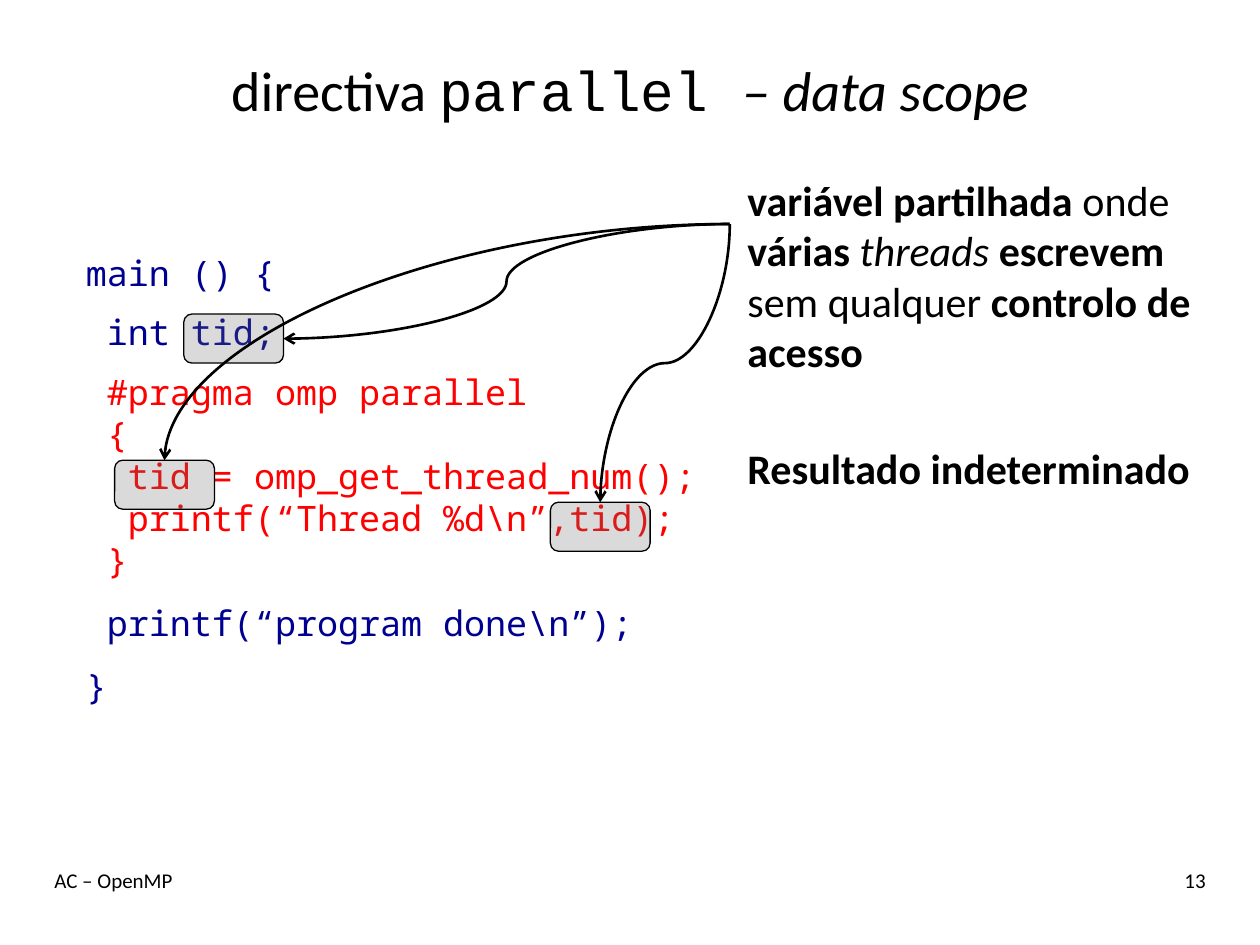
from lxml import etree
from pptx import Presentation
from pptx.dml.color import RGBColor
from pptx.enum.shapes import MSO_CONNECTOR, MSO_SHAPE
from pptx.enum.text import MSO_ANCHOR, PP_ALIGN
from pptx.oxml.ns import qn
from pptx.util import Pt

CURVE = MSO_CONNECTOR.CURVE
ROUNDED = MSO_SHAPE.ROUNDED_RECTANGLE
TOP, MIDDLE = MSO_ANCHOR.TOP, MSO_ANCHOR.MIDDLE
LEFT, CENTER, RIGHT = PP_ALIGN.LEFT, PP_ALIGN.CENTER, PP_ALIGN.RIGHT

BLACK = RGBColor(0x00, 0x00, 0x00)
GRAY = RGBColor(0x6E, 0x6E, 0x6E)
NAVY = RGBColor(0x00, 0x00, 0x90)
RED = RGBColor(0xFF, 0x00, 0x00)

PROSE_FONT, TITLE_CODE_FONT, CODE_FONT = "Calibri", "Courier New", "Noto Sans Mono"
MARK_WIDTH, MARK_HEIGHT = 57, 28

# Code lines: text, colour, space before, space after
CODE = [
    ("main () {", NAVY, 0, 10),
    (" int tid;", NAVY, 0, 10),
    (" #pragma omp parallel", RED, 0, 0),
    (" {", RED, 0, 0),
    ("  tid = omp_get_thread_num();", RED, 0, 0),
    ("  printf(“Thread %d\\n”,tid);", RED, 0, 0),
    (" }", RED, 0, 0),
    (" printf(“program done\\n”);", NAVY, 12, 0),
    ("}", NAVY, 12, 0),
]


class SlideBuilder:
    def __init__(self, slide):
        self.slide = slide

    def text_box(self, left, top, width, height, anchor=TOP, wrap=True):
        frame = self.slide.shapes.add_textbox(
            Pt(left), Pt(top), Pt(width), Pt(height)).text_frame
        frame.word_wrap = wrap
        frame.vertical_anchor = anchor
        return frame

    def add_text(self, paragraph, pieces, size, align=LEFT, before=0, after=0):
        """Fill a paragraph from (text, font changes) pairs."""
        paragraph.alignment = align
        paragraph.space_before, paragraph.space_after = Pt(before), Pt(after)
        for text, changes in pieces:
            run = paragraph.add_run()
            run.text = text
            font = run.font
            font.size = Pt(size)
            font.name = changes.get("name", PROSE_FONT)
            font.bold = changes.get("bold", False)
            font.italic = changes.get("italic", False)
            font.color.rgb = changes.get("color", BLACK)

    def mark(self, left, top):
        """Add a translucent box over one use of the variable."""
        box = self.slide.shapes.add_shape(
            ROUNDED, Pt(left), Pt(top), Pt(MARK_WIDTH), Pt(MARK_HEIGHT))
        box.shadow.inherit = False
        box.fill.solid()
        box.fill.fore_color.rgb = GRAY
        color = box._element.spPr.find(qn("a:solidFill"))[0]
        etree.SubElement(color, qn("a:alpha")).set("val", "25000")
        box.line.color.rgb = BLACK
        box.line.width = Pt(0.75)

    def arrow(self, start, end, preset="curvedConnector3", vertical=False):
        """Add a curved arrow; a vertical one leaves its start downwards."""
        (x1, y1), (x2, y2) = start, end
        if vertical:  # a quarter turn about the centre swaps the two spans
            mid_x, mid_y = (x1 + x2) / 2, (y1 + y2) / 2
            half_w, half_h = (y2 - y1) / 2, (x1 - x2) / 2
            x1, x2 = mid_x - half_w, mid_x + half_w
            y1, y2 = mid_y - half_h, mid_y + half_h
        curve = self.slide.shapes.add_connector(CURVE, Pt(x1), Pt(y1), Pt(x2), Pt(y2))
        curve.line.color.rgb = BLACK
        curve.line.width = Pt(1.5)
        properties = curve._element.spPr
        properties.find(qn("a:prstGeom")).set("prst", preset)
        if vertical:
            properties.find(qn("a:xfrm")).set("rot", "5400000")
        tail = etree.SubElement(properties.find(qn("a:ln")), qn("a:tailEnd"))
        tail.set("type", "arrow")
        etree.SubElement(properties, qn("a:effectLst"))


def main():
    presentation = Presentation()
    presentation.slide_width, presentation.slide_height = Pt(720), Pt(540)
    builder = SlideBuilder(presentation.slides.add_slide(presentation.slide_layouts[6]))
    bold, italic = {"bold": True}, {"italic": True}

    title = builder.text_box(24, 18, 672, 66, MIDDLE)
    builder.add_text(title.paragraphs[0], [
        ("directiva ", {}),
        ("parallel ", {"name": TITLE_CODE_FONT}),
        ("– data scope", italic),
    ], 32, CENTER)

    remark = builder.text_box(420, 96, 276, 384)
    builder.add_text(remark.paragraphs[0], [
        ("variável partilhada ", bold), ("onde ", {}), ("várias ", bold),
        ("threads ", italic), ("escrevem", bold), (" sem qualquer ", {}),
        ("controlo de acesso", bold),
    ], 24, before=5)
    builder.add_text(remark.add_paragraph(), [("Resultado indeterminado", bold)],
                     24, before=38)

    footer = builder.text_box(24, 492, 504, 36)
    builder.add_text(footer.paragraphs[0], [("AC – OpenMP", {})], 12)
    page = builder.text_box(600, 492, 96, 36)
    builder.add_text(page.paragraphs[0], [("13", {})], 12, RIGHT)

    code = builder.text_box(42, 140, 366, 303, wrap=False)
    for index, (text, color, before, after) in enumerate(CODE):
        line = code.add_paragraph() if index else code.paragraphs[0]
        line.line_spacing = Pt(24)
        builder.add_text(line, [(text, {"name": CODE_FONT, "color": color})], 20,
                         before=before, after=after)

    declaration, assignment, output = (105, 179.5), (65.5, 263), (314.5, 287)
    for corner in (declaration, assignment, output):
        builder.mark(*corner)

    def top_middle(corner):
        return corner[0] + MARK_WIDTH / 2, corner[1]

    source = (417, 128)
    right_middle = (declaration[0] + MARK_WIDTH, declaration[1] + MARK_HEIGHT / 2)
    builder.arrow(source, right_middle)
    builder.arrow(source, top_middle(assignment), "curvedConnector2")
    builder.arrow(source, top_middle(output), vertical=True)

    presentation.save("out.pptx")


if __name__ == "__main__":
    main()
